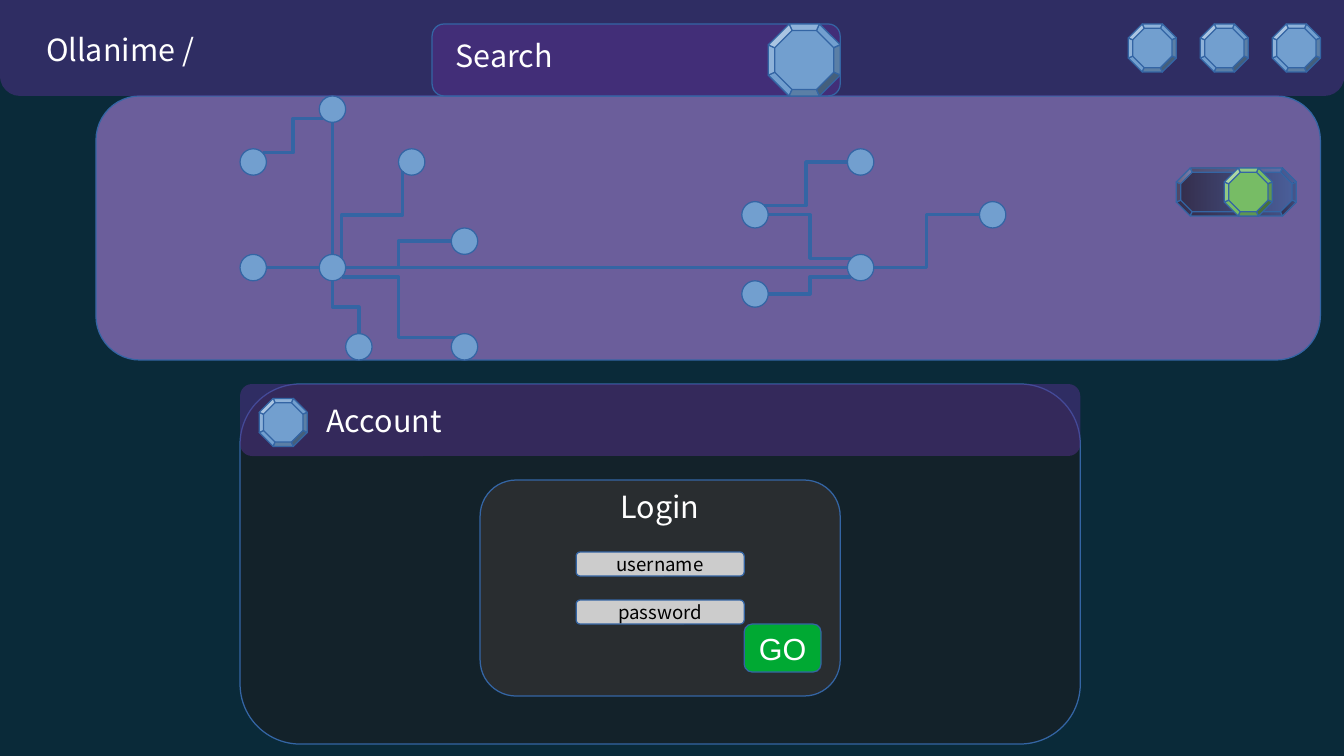
"""Builds a website mock-up slide with a node network and a login panel."""
from dataclasses import dataclass
from typing import Optional

from lxml.etree import SubElement
from pptx import Presentation
from pptx.dml.color import RGBColor
from pptx.enum.shapes import MSO_CONNECTOR, MSO_SHAPE
from pptx.enum.text import MSO_ANCHOR, MSO_AUTO_SIZE, PP_ALIGN
from pptx.oxml.ns import qn
from pptx.util import Inches, Mm, Pt

NIGHT = RGBColor(0x0A, 0x2A, 0x39)
LILAC = RGBColor(0x6B, 0x5E, 0x9B)
PURPLE = RGBColor(0x55, 0x30, 0x8D)
SKY = RGBColor(0x72, 0x9F, 0xCF)
EDGE = RGBColor(0x34, 0x65, 0xA4)
COAL = RGBColor(0x1C, 0x1C, 0x1C)
SLATE = RGBColor(0x33, 0x33, 0x33)
SILVER = RGBColor(0xCC, 0xCC, 0xCC)
GREEN = RGBColor(0x00, 0xA9, 0x33)
LEAF = RGBColor(0x77, 0xBC, 0x65)
NAVY = RGBColor(0x2A, 0x60, 0x99)
BLACK = RGBColor(0, 0, 0)
WHITE = RGBColor(255, 255, 255)

SANS = "Noto Sans CJK JP"
CELL = Mm(5)
NODE = 1.1
NODE_COL, NODE_ROW = 10, 4
FACET_SHADES = {(1, 5): 0, (2, 4): -0.2, (3,): -0.4, (0, 6): 0.2, (7,): 0.4}
SITES = {"N": (0.5, 0), "E": (1, 0.5), "S": (0.5, 1), "W": (0, 0.5),
         "NE": (0.85, 0.15), "SE": (0.85, 0.85), "SW": (0.15, 0.85), "NW": (0.15, 0.15)}


@dataclass(frozen=True)
class Box:
    """A rectangle in grid columns and rows."""
    col: float
    row: float
    cols: float
    rows: float

    def emu(self) -> tuple:
        return tuple(round(v * CELL) for v in (self.col, self.row, self.cols, self.rows))


@dataclass(frozen=True)
class Label:
    """Centred text with its format."""
    text: str
    size: int = 18
    color: RGBColor = WHITE
    font: str = SANS
    spacing: Optional[float] = None


@dataclass(frozen=True)
class Panel:
    """A rounded rectangle, perhaps with a label."""
    box: Box
    color: RGBColor
    alpha: int = 100
    outlined: bool = True
    label: Optional[Label] = None


@dataclass(frozen=True)
class Gem:
    """A bevelled octagon filled with one colour or a gradient."""
    box: Box
    colors: tuple = (SKY,)
    alpha: int = 100


@dataclass(frozen=True)
class Link:
    """A connector between two network nodes."""
    start: tuple
    start_site: str
    end: tuple
    end_site: str
    vertical: bool = False


HEADER = [
    Panel(Box(4, 4, 51, 11), LILAC),
    Panel(Box(0, -1, 56, 5), PURPLE, 50, False),
    Panel(Box(18, 1, 17, 3), PURPLE, 50),
]
HEADER_GEMS = [Gem(Box(col, 1, 2, 2)) for col in (53, 50, 47)]
NODES = [(3, 0), (6, 2), (0, 2), (8, 5), (3, 6), (0, 6), (4, 9), (8, 9),
         (23, 6), (23, 2), (19, 4), (19, 7), (28, 4)]
LINKS = [
    Link((3, 0), "S", (3, 6), "N"),
    Link((3, 6), "E", (8, 5), "W"),
    Link((3, 6), "S", (4, 9), "N", True),
    Link((0, 6), "E", (3, 6), "W"),
    Link((3, 6), "SE", (8, 9), "NW"),
    Link((6, 2), "SW", (3, 6), "NE", True),
    Link((0, 2), "NE", (3, 0), "SW"),
    Link((3, 6), "E", (23, 6), "W"),
    Link((19, 4), "E", (23, 6), "NW"),
    Link((19, 7), "E", (23, 6), "SW"),
    Link((23, 6), "E", (28, 4), "W"),
    Link((19, 4), "NE", (23, 2), "W"),
]
ACCOUNT = [
    Panel(Box(10, 16, 35, 15), COAL, 50),
    Panel(Box(10, 16, 35, 3), PURPLE, 50, False),
]
BODY_GEMS = [
    Gem(Box(32, 1, 3, 3)),
    Gem(Box(10.8, 16.6, 2, 2)),
    Gem(Box(49, 7, 5, 2), (BLACK, NAVY), 50),
    Gem(Box(51, 7, 2, 2), (LEAF,)),
]
LOGIN = [
    Panel(Box(20, 20, 15, 9), SLATE, 70),
    Panel(Box(24, 23, 7, 1), SILVER, label=Label("username", 11, BLACK)),
    Panel(Box(24, 25, 7, 1), SILVER, label=Label("password", 11, BLACK)),
    Panel(Box(31, 26, 3.2, 2), GREEN, label=Label("GO", font="Arial")),
]
CAPTIONS = [
    (Box(18, -0.45, 6, 3.95), Label("Search", spacing=2)),
    (Box(13, 16, 6, 3), Label("Account")),
    (Box(25, 19.95, 5, 2.25), Label("Login")),
]


def write(sp, label: Label) -> None:
    """Puts a label in a shape."""
    tf = sp.text_frame
    tf.word_wrap = False
    tf.auto_size = MSO_AUTO_SIZE.NONE
    tf.vertical_anchor = MSO_ANCHOR.MIDDLE
    p = tf.paragraphs[0]
    p.alignment = PP_ALIGN.CENTER
    if label.spacing:
        p.line_spacing = label.spacing
    r = p.add_run()
    r.text = label.text
    r.font.name, r.font.size = label.font, Pt(label.size)
    r.font.color.rgb = label.color


def paint(sp, colors: tuple, alpha: int = 100, outlined: bool = True) -> None:
    """Sets fill, transparency and outline."""
    sp.shadow.inherit = False
    if len(colors) == 1:
        sp.fill.solid()
        sp.fill.fore_color.rgb = colors[0]
    else:
        sp.fill.gradient()
        sp.fill.gradient_angle = 0
        for stop, color in zip(sp.fill.gradient_stops, colors):
            stop.color.rgb = color
    if alpha < 100:
        for clr in list(sp.element.spPr.iter(qn("a:srgbClr"))):
            SubElement(clr, qn("a:alpha")).set("val", str(alpha * 1000))
    if outlined:
        sp.line.color.rgb = EDGE
        sp.line.width = Pt(0)
    else:
        sp.line.fill.background()


def add_panel(s, panel: Panel) -> None:
    """Draws a rounded panel."""
    sp = s.shapes.add_shape(MSO_SHAPE.ROUNDED_RECTANGLE, *panel.box.emu())
    paint(sp, (panel.color,), panel.alpha, panel.outlined)
    if panel.label:
        write(sp, panel.label)


def octagon(x: float, y: float, w: float, h: float, cut: float) -> list:
    """Lists octagon corners clockwise from the top left."""
    r, b = x + w, y + h
    return [(x + cut, y), (r - cut, y), (r, y + cut), (r, b - cut),
            (r - cut, b), (x + cut, b), (x, b - cut), (x, y + cut)]


def shade(color: RGBColor, amount: float) -> RGBColor:
    """Lightens or darkens a colour."""
    target = 255 if amount > 0 else 0
    return RGBColor(*(round(c + (target - c) * abs(amount)) for c in color))


def add_outline(s, contours: list):
    """Draws closed contours as one freeform."""
    fb = s.shapes.build_freeform(*contours[0][0], scale=1.0)
    for i, points in enumerate(contours):
        if i:
            fb.move_to(*points[0])
        fb.add_line_segments(points[1:], close=True)
    return fb.convert_to_shape()


def add_gem(s, gem: Gem) -> None:
    """Draws the face and the shaded facets of a gem."""
    x, y, w, h = gem.box.emu()
    side = min(w, h)
    inset = 0.09 * side
    outer = octagon(x, y, w, h, 0.29 * side)
    inner = octagon(x + inset, y + inset, w - 2 * inset, h - 2 * inset, 0.24 * side)
    paint(add_outline(s, [inner]), gem.colors, gem.alpha, False)
    for facets, amount in FACET_SHADES.items():
        contours = [[outer[i], outer[(i + 1) % 8], inner[(i + 1) % 8], inner[i]] for i in facets]
        paint(add_outline(s, contours), tuple(shade(c, amount) for c in gem.colors), gem.alpha)


def site_point(node: tuple, site: str) -> tuple:
    """Finds a connection point on a node."""
    dx, dy = SITES[site]
    return (NODE_COL + (node[0] + dx) * NODE) * CELL, (NODE_ROW + (node[1] + dy) * NODE) * CELL


def add_link(s, link: Link) -> None:
    """Draws a connector, turned when it leaves vertically."""
    x1, y1 = site_point(link.start, link.start_site)
    x2, y2 = site_point(link.end, link.end_site)
    straight = round(x1) == round(x2) or round(y1) == round(y2)
    kind = MSO_CONNECTOR.STRAIGHT if straight else MSO_CONNECTOR.ELBOW
    if link.vertical:
        cx, cy = (x1 + x2) / 2, (y1 + y2) / 2
        x1, y1, x2, y2 = cx + y1 - cy, cy - x1 + cx, cx + y2 - cy, cy - x2 + cx
    cxn = s.shapes.add_connector(kind, *(round(v) for v in (x1, y1, x2, y2)))
    cxn.line.color.rgb = EDGE
    cxn.line.width = Pt(0)
    SubElement(cxn.element.spPr, qn("a:effectLst"))
    if link.vertical:
        cxn.element.spPr.find(qn("a:xfrm")).set("rot", "5400000")


def main() -> None:
    """Builds and saves the slide."""
    prs = Presentation()
    prs.slide_width, prs.slide_height = Inches(11.02), Inches(6.2)
    s = prs.slides.add_slide(prs.slide_layouts[5])
    s.background.fill.solid()
    s.background.fill.fore_color.rgb = NIGHT
    for panel in HEADER:
        add_panel(s, panel)
    for gem in HEADER_GEMS:
        add_gem(s, gem)
    for col, row in NODES:
        box = Box(NODE_COL + col * NODE, NODE_ROW + row * NODE, NODE, NODE)
        paint(s.shapes.add_shape(MSO_SHAPE.OVAL, *box.emu()), (SKY,))
    for link in LINKS:
        add_link(s, link)
    for panel in ACCOUNT:
        add_panel(s, panel)
    for gem in BODY_GEMS:
        add_gem(s, gem)
    for panel in LOGIN:
        add_panel(s, panel)
    for box, label in CAPTIONS:
        write(s.shapes.add_textbox(*box.emu()), label)
    title = s.shapes.title
    title.left, title.top, title.width, title.height = Box(1, 0.95, 8, 2.25).emu()
    write(title, Label("Ollanime /"))
    s.shapes.element.append(title.element)
    prs.save("out.pptx")


if __name__ == "__main__":
    main()
